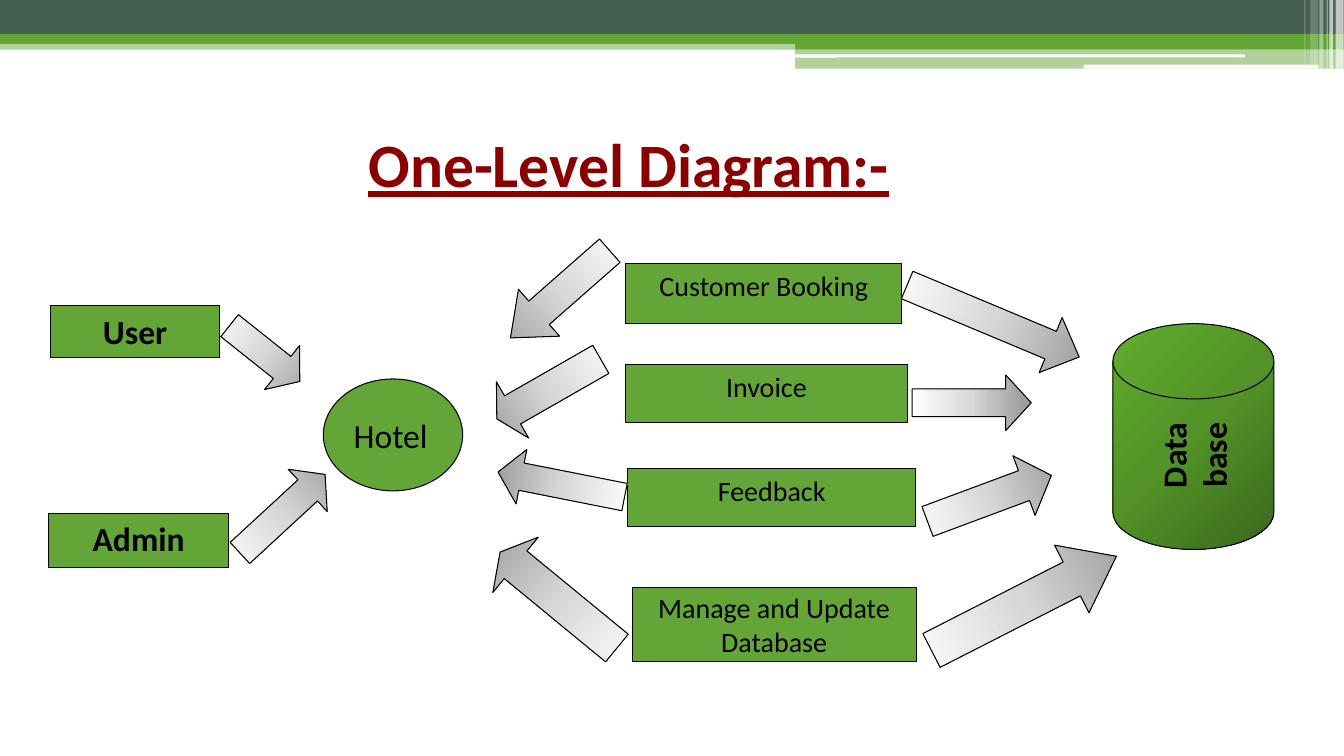
from lxml import etree
from pptx import Presentation
from pptx.dml.color import RGBColor
from pptx.enum.shapes import MSO_SHAPE
from pptx.enum.text import MSO_ANCHOR, PP_ALIGN
from pptx.oxml import parse_xml
from pptx.oxml.ns import nsdecls, qn
from pptx.util import Cm, Pt

GREEN = RGBColor(0x63, 0xA5, 0x37)
SLATE = RGBColor(0x45, 0x5F, 0x51)
WHITE = RGBColor(0xFF, 0xFF, 0xFF)
BLACK = RGBColor(0x00, 0x00, 0x00)
MAROON = RGBColor(0x8A, 0x00, 0x00)
SILVER = (RGBColor(0x97, 0x97, 0x97), RGBColor(0xD7, 0xD7, 0xD7), WHITE)
LEAF = (RGBColor(0x3A, 0x67, 0x1C), RGBColor(0x52, 0x92, 0x27), RGBColor(0x61, 0xAD, 0x2F))
TO_LEFT = '<a:lin ang="10800000" scaled="1"/>'
FROM_CORNER = '<a:path path="circle"><a:fillToRect l="100000" t="100000"/></a:path>'

prs = Presentation()
prs.slide_width, prs.slide_height = Cm(33.87), Cm(19.05)
slide = prs.slides.add_slide(prs.slide_layouts[6])


def add(kind, box, fill, alpha=100, shade=None, outline=True, rot=0):
    """Add a shape; with shade, fill holds three gradient colours."""
    s = slide.shapes.add_shape(kind, *[Cm(v) for v in box])
    s.rotation = rot
    spPr = s._element.spPr
    if shade:
        stops = "".join(f'<a:gs pos="{i * 50000}"><a:srgbClr val="{c}"/></a:gs>'
                        for i, c in enumerate(fill))
        spPr.append(parse_xml(f'<a:gradFill {nsdecls("a")} rotWithShape="1">'
                              f'<a:gsLst>{stops}</a:gsLst>{shade}</a:gradFill>'))
    else:
        s.fill.solid()
        s.fill.fore_color.rgb = fill
    if alpha < 100:
        color = spPr.find(".//" + qn("a:srgbClr"))
        etree.SubElement(color, qn("a:alpha"), val=str(alpha * 1000))
    if outline:
        s.line.color.rgb = BLACK
        s.line.width = Pt(0.75)
    else:
        s.line.fill.background()
    s.shadow.inherit = False
    return s


def write(s, text, size=24, color=BLACK, bold=False, underline=False,
          align=PP_ALIGN.CENTER, anchor=MSO_ANCHOR.MIDDLE):
    tf = s.text_frame
    tf.word_wrap = True
    tf.vertical_anchor = anchor
    p = tf.paragraphs[0]
    p.alignment = align
    r = p.add_run()
    r.text = text
    r.font.name, r.font.size = "Calibri", Pt(size)
    r.font.bold, r.font.underline = bold, underline
    r.font.color.rgb = color


# Header bands
for box, color, alpha in [
    ((0, 1.02, 33.87, 0.23), GREEN, 50),
    ((0, 0, 33.87, 0.86), SLATE, 100),
    ((0, 0.86, 33.87, 0.25), GREEN, 100),
    ((20.04, 0.99, 13.83, 0.25), GREEN, 100),
    ((20.04, 1.22, 13.83, 0.51), GREEN, 50),
]:
    add(MSO_SHAPE.RECTANGLE, box, color, alpha, outline=False)

# White bars in the header
for box in [(20.02, 1.37, 11.35, 0.08), (27.31, 1.63, 5.92, 0.1)]:
    add(MSO_SHAPE.ROUNDED_RECTANGLE, box, WHITE, outline=False)

# Pale stripes at the right edge
for left, width, height, alpha in [
    (33.66, 0.2, 1.73, 65), (33.5, 0.1, 1.73, 65), (33.43, 0.03, 1.73, 60),
    (33.25, 0.1, 1.73, 40), (33.02, 0.2, 1.63, 20), (32.87, 0.03, 1.63, 30),
]:
    add(MSO_SHAPE.RECTANGLE, (left, 0, width, height), WHITE, alpha, outline=False)

# Title
title = slide.shapes.add_textbox(Cm(1.22), Cm(2.97), Cm(29.26), Cm(2.28))
write(title, "One-Level Diagram:-", size=44, color=MAROON, bold=True, underline=True)

# Database and hotel
drum = add(MSO_SHAPE.FLOWCHART_DIRECT_ACCESS_STORAGE, (27.23, 8.97, 5.69, 4.06),
           LEAF, shade=FROM_CORNER, rot=270)
write(drum, "Data base", bold=True)
hotel = add(MSO_SHAPE.OVAL, (8.15, 9.55, 3.51, 2.82), GREEN)
write(hotel, "Hotel", align=PP_ALIGN.LEFT)

# Actors and processes
for text, box, size, bold, anchor in [
    ("Admin", (1.22, 12.93, 4.55, 1.37), 24, True, MSO_ANCHOR.TOP),
    ("User", (1.27, 7.7, 4.27, 1.3), 24, True, MSO_ANCHOR.TOP),
    ("Manage and Update Database", (15.93, 14.81, 7.16, 1.85), 20, False, MSO_ANCHOR.MIDDLE),
    ("Invoice", (15.77, 9.19, 7.09, 1.45), 20, False, MSO_ANCHOR.TOP),
    ("Feedback", (15.82, 11.81, 7.26, 1.47), 20, False, MSO_ANCHOR.TOP),
    ("Customer Booking", (15.77, 6.63, 6.96, 1.52), 20, False, MSO_ANCHOR.TOP),
]:
    s = add(MSO_SHAPE.RECTANGLE, box, GREEN)
    write(s, text, size=size, bold=bold, anchor=anchor)

# Arrows: box, rotation, head length
for box, rot, head in [
    ((5.54, 8.2, 2.26, 1.42), 38.5, 0.4),
    ((5.66, 12.22, 2.92, 1.45), 317.3, 0.41),
    ((22.99, 9.45, 3, 1.4), 0, 0.46),
    ((23.19, 14.25, 5.23, 1.91), 333, 0.66),
    ((23.27, 11.76, 3.33, 1.6), 339.6, 0.46),
    ((22.68, 7.34, 4.7, 1.5), 22.7, 0.52),
    ((12.45, 6.63, 3.33, 1.57), 138.7, 0.61),
    ((12.52, 11.51, 3.25, 1.4), 191.2, 0.43),
    ((12.32, 8.99, 3.02, 1.63), 150.2, 0.28),
    ((12.17, 14.22, 3.81, 1.8), 219.4, 0.28),
]:
    arrow = add(MSO_SHAPE.RIGHT_ARROW, box, SILVER, shade=TO_LEFT, rot=rot)
    arrow.adjustments[1] = head

prs.save("out.pptx")
